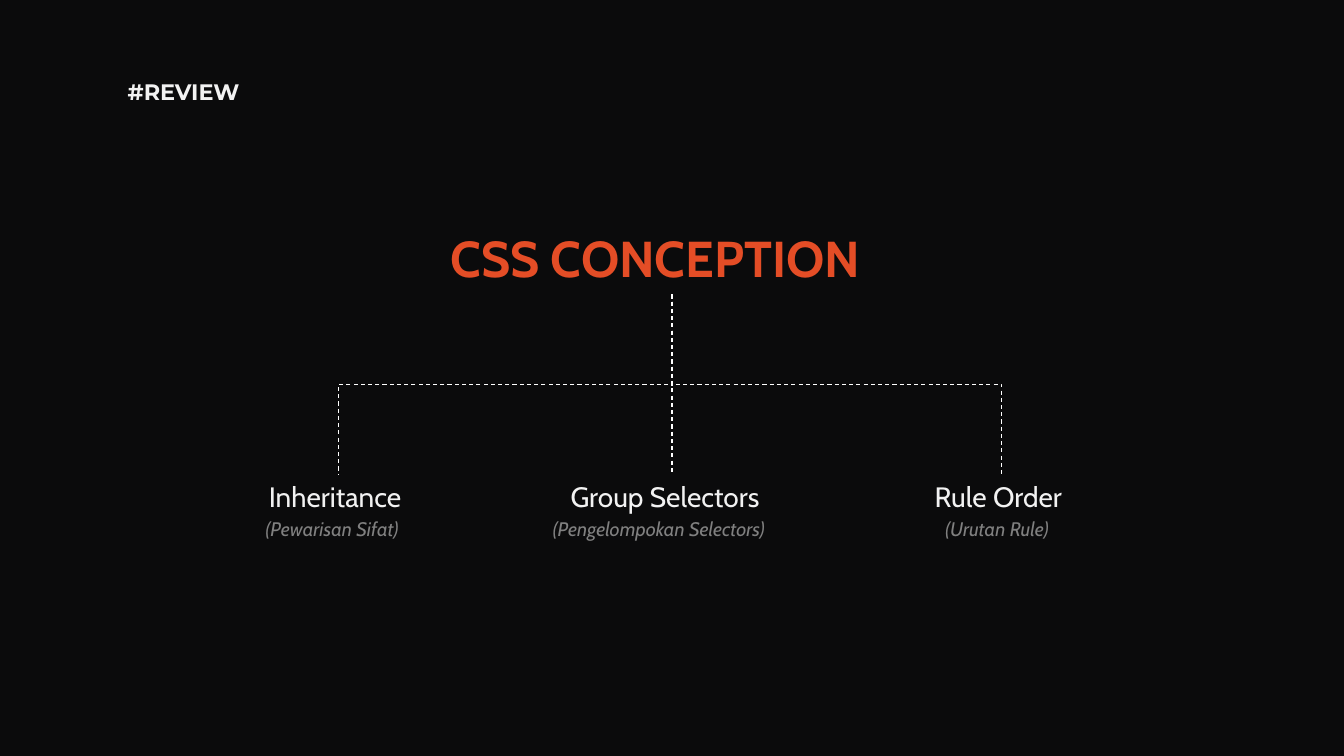
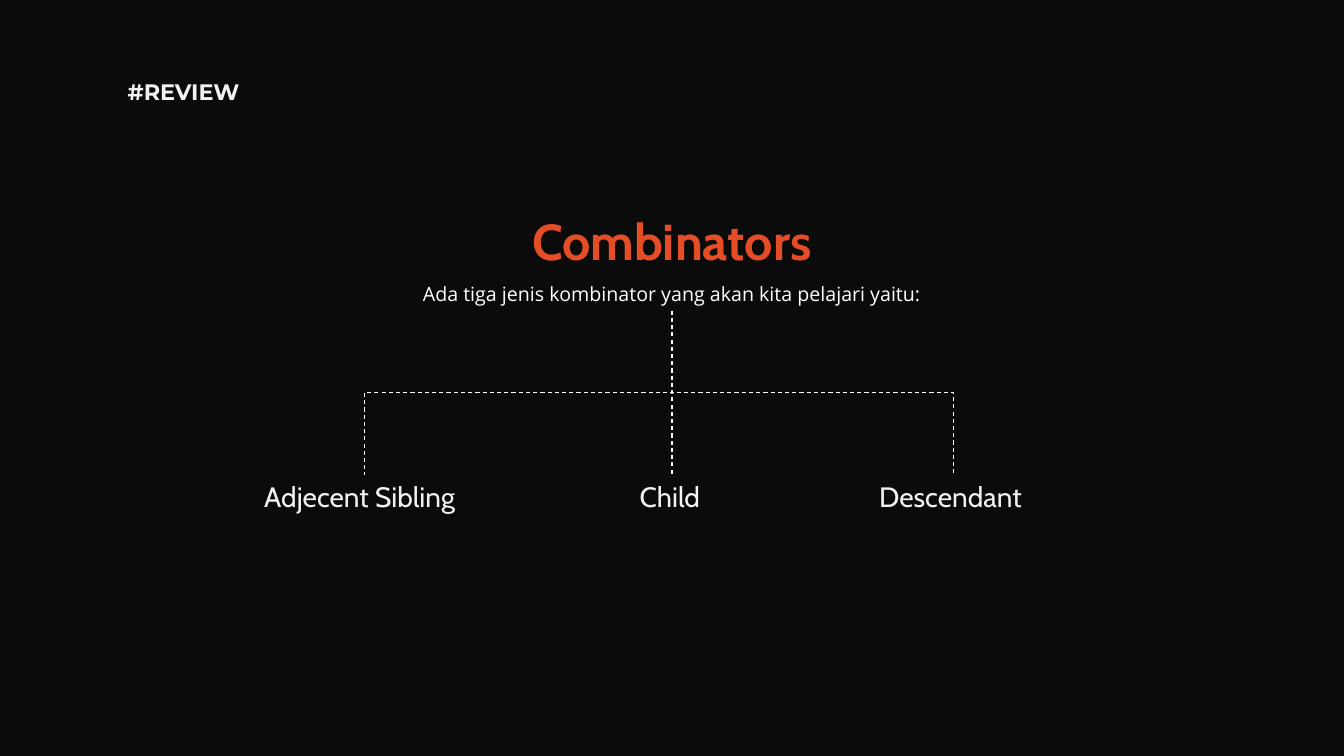
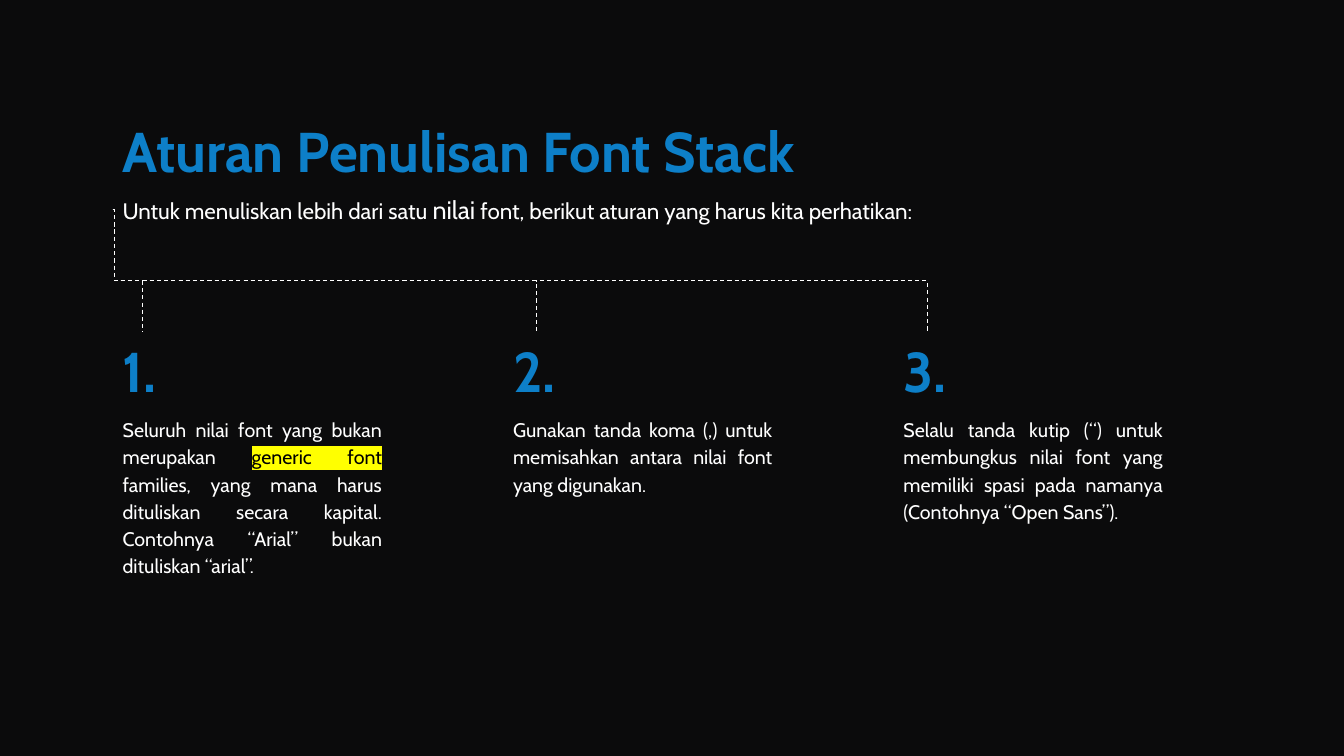
from lxml.etree import SubElement
from pptx import Presentation
from pptx.dml.color import RGBColor
from pptx.enum.dml import MSO_LINE
from pptx.enum.shapes import MSO_CONNECTOR
from pptx.enum.text import MSO_AUTO_SIZE, PP_ALIGN
from pptx.oxml.ns import qn
from pptx.util import Cm, Pt

# Lengths are in centimetres
SLIDE_WIDTH, SLIDE_HEIGHT = 33.87, 19.05
CENTRE = SLIDE_WIDTH / 2
BLACK, WHITE, LIGHT, GREY = "0B0B0C", "FFFFFF", "F2F2F2", "808080"
ORANGE, BLUE, YELLOW = "E44D26", "0D7FC8", "FFFF00"

LABEL_TOP, NOTE_TOP = 11.96, 12.9

# Branch: centre, (label, width), optional (note, width)
CONCEPTION = {
    "title": "CSS CONCEPTION",
    "title_box": (11.1, 5.61, 11.66, 1.8),
    "align": PP_ALIGN.LEFT,
    "wrap": False,
    "lead": None,
    "trunk_top": 7.42,
    "branches": [
        (8.53, ("Inheritance", 4.01), ("(Pewarisan Sifat)", 4.17)),
        (CENTRE, ("Group Selectors", 5.61), ("(Pengelompokan Selectors)", 6.5)),
        (25.25, ("Rule Order", 3.89), ("(Urutan Rule)", 3.35)),
    ],
}
COMBINATORS = {
    "title": "Combinators",
    "title_box": (0, 5.18, SLIDE_WIDTH, 1.8),
    "align": PP_ALIGN.CENTER,
    "wrap": True,
    "lead": "Ada tiga jenis kombinator yang akan kita pelajari yaitu:",
    "trunk_top": 7.83,
    "branches": [
        (9.18, ("Adjecent Sibling", 5.54), None),
        (CENTRE, ("Child", 2.13), None),
        (24.04, ("Descendant", 4.27), None),
    ],
}

# A run is a text, or a text with its own style
RULES_TITLE = "Aturan Penulisan Font Stack"
RULES_LEAD = [
    "Untuk menuliskan lebih dari satu ",
    ("nilai", {"size": 18}),
    " font, berikut aturan yang harus kita perhatikan:",
]
# Rule: number, number width, text height, runs
RULES = [
    ("1.", 1.5, 4.34, [
        "Seluruh nilai font yang bukan merupakan ",
        ("generic font ", {"color": "000000", "highlight": YELLOW}),
        "families, yang mana harus dituliskan secara kapital. "
        "Contohnya “Arial” bukan dituliskan “arial”.",
    ]),
    ("2.", 1.68, 2.29, [
        "Gunakan tanda koma (,) untuk memisahkan antara nilai font yang digunakan.",
    ]),
    ("3.", 1.7, 2.97, [
        "Selalu tanda kutip (“) untuk membungkus nilai font yang memiliki spasi "
        "pada namanya (Contohnya “Open Sans”).",
    ]),
]
RULES_LEFT, RULES_PITCH = 2.84, 9.84
NUMBER_TOP, RULE_TOP, RULE_WIDTH = 8.36, 10.33, 7.04
STEM_TOP, STEM_OFFSET, BUS_TOP = 5.28, 0.04, 7.08


def rgb(color):
    return RGBColor.from_string(color)


def style_run(run, size=None, color=None, highlight=None):
    if size:
        run.font.size = Pt(size)
    if color:
        run.font.color.rgb = rgb(color)
    if highlight:
        properties = run.font._element
        mark = SubElement(properties, qn("a:highlight"))
        SubElement(mark, qn("a:srgbClr"), val=highlight)
        properties.find(qn("a:solidFill")).addnext(mark)


def add_text(slide, box, runs, size, color, font="Cabin", bold=False, italic=False,
             align=PP_ALIGN.LEFT, wrap=False, spacing=None):
    frame = slide.shapes.add_textbox(*map(Cm, box)).text_frame
    frame.word_wrap = wrap
    frame.auto_size = MSO_AUTO_SIZE.SHAPE_TO_FIT_TEXT
    paragraph = frame.paragraphs[0]
    paragraph.alignment = align
    paragraph.line_spacing = spacing
    paragraph.font.name = font
    paragraph.font.size = Pt(size)
    paragraph.font.bold = bold
    paragraph.font.italic = italic
    paragraph.font.color.rgb = rgb(color)
    for item in [runs] if isinstance(runs, str) else runs:
        text, style = (item, {}) if isinstance(item, str) else item
        run = paragraph.add_run()
        run.text = text
        style_run(run, **style)


def add_elbow(slide, x1, y1, x2, y2):
    connector = slide.shapes.add_connector(MSO_CONNECTOR.ELBOW, *map(Cm, (x1, y1, x2, y2)))
    connector.line.color.rgb = rgb(WHITE)
    connector.line.width = Pt(0.75)
    connector.line.dash_style = MSO_LINE.DASH
    properties = connector._element.spPr
    SubElement(properties, qn("a:effectLst"))
    return properties


def add_branch(slide, x1, y1, x2, y2):
    """Elbow that runs down, across and down: a sideways elbow turned by 90 degrees."""
    middle_x, middle_y = (x1 + x2) / 2, (y1 + y2) / 2
    half_width, half_height = (x2 - x1) / 2, (y2 - y1) / 2
    properties = add_elbow(slide, middle_x - half_height, middle_y + half_width,
                           middle_x + half_height, middle_y - half_width)
    properties.find(qn("a:xfrm")).set("rot", str(90 * 60000))


def add_stepped_elbow(slide, x1, y1, x2, y2):
    """Elbow that runs a little right, down to the bus, across and down."""
    properties = add_elbow(slide, x1, y1, x2, y2)
    geometry = properties.find(qn("a:prstGeom"))
    geometry.set("prst", "bentConnector4")
    bends = (STEM_OFFSET / (x2 - x1), (BUS_TOP - y1) / (y2 - y1))
    for number, bend in enumerate(bends, 1):
        SubElement(geometry.find(qn("a:avLst")), qn("a:gd"),
                   name=f"adj{number}", fmla=f"val {round(bend * 100000)}")


def add_slide(presentation):
    return presentation.slides.add_slide(presentation.slide_layouts[6])


def add_tree_slide(presentation, tree):
    slide = add_slide(presentation)
    add_text(slide, (2.97, 1.85, 3.38, 0.94), "#REVIEW", 16, LIGHT, "Montserrat", bold=True)
    add_text(slide, tree["title_box"], tree["title"], 36, ORANGE, bold=True,
             align=tree["align"], wrap=tree["wrap"])
    if tree["lead"]:
        add_text(slide, (0, 6.98, SLIDE_WIDTH, 0.86), tree["lead"], 14, WHITE, "Open Sans",
                 align=PP_ALIGN.CENTER, wrap=True)
    for centre, (label, width), note in tree["branches"]:
        add_text(slide, (centre - width / 2, LABEL_TOP, width, 1.12), label, 20, LIGHT)
        if note:
            text, width = note
            add_text(slide, (centre - width / 2, NOTE_TOP, width, 0.86), text, 14, GREY,
                     italic=True)
        add_branch(slide, CENTRE, tree["trunk_top"], centre, LABEL_TOP)


def add_rules_slide(presentation):
    slide = add_slide(presentation)
    add_text(slide, (RULES_LEFT, 2.82, 18.97, 1.96), RULES_TITLE, 40, BLUE, bold=True)
    add_text(slide, (RULES_LEFT, 4.78, 28.14, 1.02), RULES_LEAD, 16, WHITE, wrap=True)
    for index, (number, width, height, runs) in enumerate(RULES):
        left = RULES_LEFT + index * RULES_PITCH
        add_text(slide, (left, NUMBER_TOP, width, 1.96), number, 40, BLUE, bold=True)
        add_text(slide, (left, RULE_TOP, RULE_WIDTH, height), runs, 14, WHITE,
                 align=PP_ALIGN.JUSTIFY, wrap=True, spacing=1.15)
        add_stepped_elbow(slide, RULES_LEFT, STEM_TOP, left + width / 2, NUMBER_TOP)


def main():
    presentation = Presentation()
    presentation.slide_width, presentation.slide_height = Cm(SLIDE_WIDTH), Cm(SLIDE_HEIGHT)
    background = presentation.slide_master.background.fill
    background.solid()
    background.fore_color.rgb = rgb(BLACK)
    for tree in (CONCEPTION, COMBINATORS):
        add_tree_slide(presentation, tree)
    add_rules_slide(presentation)
    presentation.save("out.pptx")


if __name__ == "__main__":
    main()
